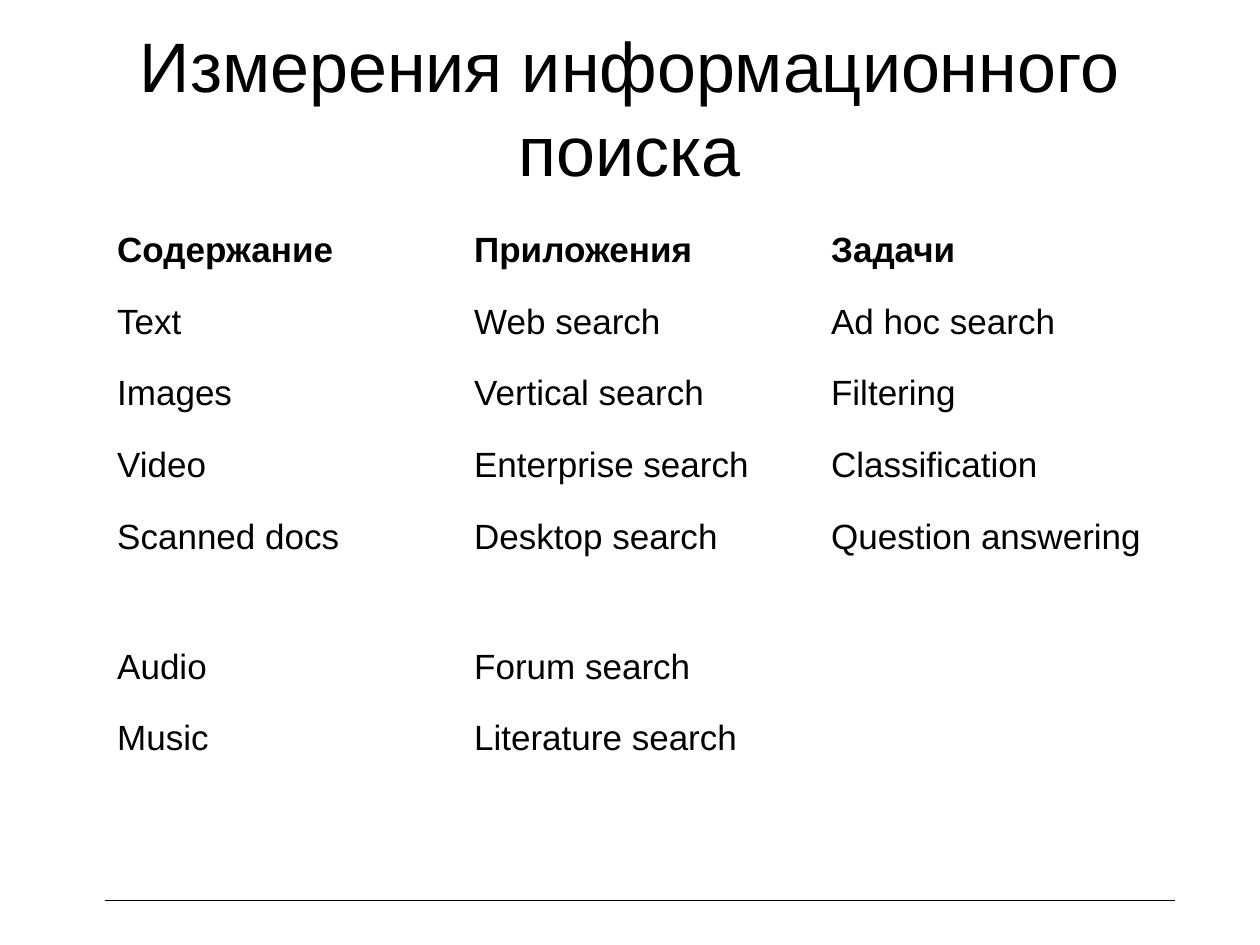
from dataclasses import dataclass

from lxml.etree import SubElement
from pptx import Presentation
from pptx.dml.color import RGBColor
from pptx.enum.text import MSO_ANCHOR, MSO_AUTO_SIZE, PP_ALIGN
from pptx.oxml.ns import qn
from pptx.util import Inches, Pt

BLACK = RGBColor(0x00, 0x00, 0x00)
FONT = "Arial"
NO_STYLE = "{2D5ABB26-0587-4C30-8999-92F81FD0307C}"
ROW_H = 0.57
TALL_ROWS = {4: 1.03, 6: 0.92}


@dataclass
class Dimension:
    heading: str
    items: list[str]


DIMENSIONS = [
    Dimension("Содержание",
              ["Text", "Images", "Video", "Scanned docs", "Audio", "Music"]),
    Dimension("Приложения",
              ["Web search", "Vertical search", "Enterprise search",
               "Desktop search", "Forum search", "Literature search"]),
    Dimension("Задачи",
              ["Ad hoc search", "Filtering", "Classification",
               "Question answering"]),
]
N_ROWS = 8


def write(tf, text: str, size: int, bold: bool = False,
          align: PP_ALIGN = PP_ALIGN.LEFT) -> None:
    p = tf.paragraphs[0]
    p.alignment = align
    r = p.add_run()
    r.text = text
    for name, value in {"name": FONT, "size": Pt(size), "bold": bold}.items():
        setattr(r.font, name, value)
    r.font.color.rgb = BLACK


def bottom_rule(cell, width: float) -> None:
    tcPr = cell._tc.get_or_add_tcPr()
    ln = SubElement(tcPr, qn("a:lnB"), w=str(Pt(width)))
    fill = SubElement(ln, qn("a:solidFill"))
    SubElement(fill, qn("a:srgbClr"), val=str(BLACK))
    tcPr.insert(0, ln)  # borders come before the fill


def add_title(s, text: str) -> None:
    title = s.shapes.title
    box = {"left": 0.27, "top": 0.13, "width": 9.45, "height": 1.43}
    for name, value in box.items():
        setattr(title, name, Inches(value))
    tf = title.text_frame
    frame = {"word_wrap": True, "auto_size": MSO_AUTO_SIZE.NONE,
             "vertical_anchor": MSO_ANCHOR.MIDDLE}
    for name, value in frame.items():
        setattr(tf, name, value)
    write(tf, text, 40, align=PP_ALIGN.CENTER)


def add_dimensions(s, dimensions: list[Dimension]) -> None:
    heights = [TALL_ROWS.get(i, ROW_H) for i in range(N_ROWS)]
    frame = s.shapes.add_table(N_ROWS, len(dimensions), Inches(0.83),
                               Inches(1.78), Inches(8.5), Inches(sum(heights)))
    table = frame.table
    table.first_row = table.horz_banding = False
    table._tbl.tblPr.find(qn("a:tableStyleId")).text = NO_STYLE
    for row, height in zip(table.rows, heights):
        row.height = Inches(height)
    for cell in table.iter_cells():
        cell.fill.background()

    # Headings and entries, one dimension per column
    for col, dim in enumerate(dimensions):
        for row, text in enumerate([dim.heading, *dim.items]):
            write(table.cell(row, col).text_frame, text, 20, bold=row == 0)
        bottom_rule(table.cell(N_ROWS - 1, col), 0.23)


def main() -> None:
    prs = Presentation()
    prs.slide_width, prs.slide_height = Inches(10), Inches(7.5)
    s = prs.slides.add_slide(prs.slide_layouts[5])
    add_title(s, "Измерения информационного поиска")
    add_dimensions(s, DIMENSIONS)
    prs.save("out.pptx")


if __name__ == "__main__":
    main()
